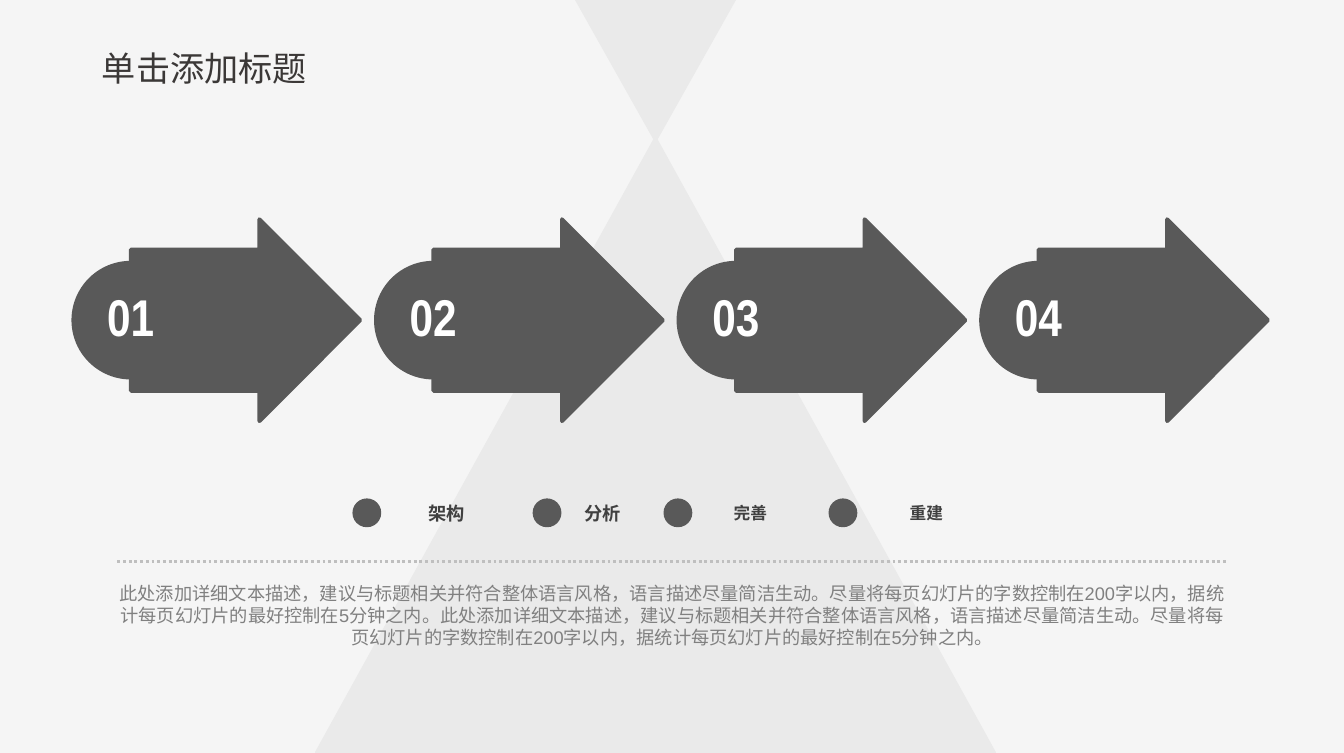
from dataclasses import dataclass

from lxml.etree import SubElement
from pptx import Presentation
from pptx.dml.color import RGBColor
from pptx.enum.dml import MSO_LINE
from pptx.enum.shapes import MSO_CONNECTOR, MSO_SHAPE as Preset
from pptx.enum.text import MSO_ANCHOR as Anchor, MSO_AUTO_SIZE as AutoSize, PP_ALIGN as Align
from pptx.oxml.ns import qn
from pptx.util import Pt


@dataclass(frozen=True)
class Theme:
    background: str = "F5F5F5"
    backdrop: str = "EAEAEA"
    accent: str = "595959"
    title: str = "3B3837"
    label: str = "404040"
    body: str = "808080"
    rule: str = "BFBFBF"
    number: str = "FFFFFF"
    font: str = "Arial"
    number_font: str = "Arial Narrow"
    title_size: float = 18
    number_size: float = 27.2
    body_size: float = 9.6
    small_label_size: float = 8.8
    outline: float = 2
    rule_width: float = 1.5


class SlideBuilder:
    def __init__(self, slide, theme):
        self.slide = slide
        self.theme = theme
        self.paint(slide.background.fill, theme.background)

    def paint(self, fill, color):
        fill.solid()
        fill.fore_color.rgb = RGBColor.from_string(color)

    def set_text(self, shape, text, size, color, bold=False, font=None, inset=(0, 0), wrap=True):
        frame = shape.text_frame
        frame.text = text
        frame.word_wrap = wrap
        frame.auto_size = AutoSize.NONE
        frame.margin_left = frame.margin_right = Pt(inset[0])
        frame.margin_top = frame.margin_bottom = Pt(inset[1])
        paragraph = frame.paragraphs[0]
        paragraph.alignment = Align.CENTER
        paragraph.font.name = font or self.theme.font
        paragraph.font.size = Pt(size)
        paragraph.font.bold = bold
        paragraph.font.color.rgb = RGBColor.from_string(color)
        return frame

    def title(self, text, box):
        title = self.slide.shapes.title
        title.left, title.top, title.width, title.height = map(Pt, box)
        frame = self.set_text(title, text, self.theme.title_size, self.theme.title, inset=(5, 3))
        frame.vertical_anchor = Anchor.MIDDLE

    def shape(self, preset, box, color, outlined=True):
        shape = self.slide.shapes.add_shape(preset, *map(Pt, box))
        shape.shadow.inherit = False
        self.paint(shape.fill, color)
        if outlined:
            self.paint(shape.line.fill, color)
            shape.line.width = Pt(self.theme.outline)
        else:
            shape.line.fill.background()
        return shape

    def text(self, text, box, size, color, bold=False, wrap=True):
        text_box = self.slide.shapes.add_textbox(*map(Pt, box))
        self.set_text(text_box, text, size, color, bold, wrap=wrap)

    def step(self, number, left, middle):
        theme = self.theme
        diameter, arrow_width, arrow_height = 60.5, 121, 106.4
        arrow_box = (left + diameter / 2, middle - arrow_height / 2, arrow_width, arrow_height)
        arrow = self.shape(Preset.RIGHT_ARROW, arrow_box, theme.accent)
        arrow.adjustments[0] = 0.7
        arrow.adjustments[1] = 0.5
        circle_box = (left, middle - diameter / 2, diameter, diameter)
        circle = self.shape(Preset.OVAL, circle_box, theme.accent)
        frame = self.set_text(circle, f"{number:02d}", theme.number_size, theme.number,
                              bold=True, font=theme.number_font, wrap=False)
        frame.vertical_anchor = Anchor.MIDDLE
        frame.paragraphs[0].line_spacing = 0.9

    def legend_entry(self, label, dot_left, label_center, size, middle):
        dot = 15.2
        dot_box = (dot_left, middle - dot / 2, dot, dot)
        self.shape(Preset.OVAL, dot_box, self.theme.accent, outlined=False)
        width, height = 2 * size, 1.2 * size
        label_box = (label_center - width / 2, middle - height / 2, width, height)
        self.text(label, label_box, size, self.theme.label, bold=True, wrap=False)

    def dotted_rule(self, left, right, y):
        rule = self.slide.shapes.add_connector(
            MSO_CONNECTOR.STRAIGHT, Pt(left), Pt(y), Pt(right), Pt(y))
        self.paint(rule.line.fill, self.theme.rule)
        rule.line.width = Pt(self.theme.rule_width)
        rule.line.dash_style = MSO_LINE.ROUND_DOT
        SubElement(rule._element.spPr, qn("a:effectLst"))


def main():
    theme = Theme()
    deck = Presentation()
    deck.slide_width, deck.slide_height = Pt(708.5), Pt(396.7)
    builder = SlideBuilder(deck.slides.add_slide(deck.slide_layouts[5]), theme)

    builder.shape(Preset.ISOSCELES_TRIANGLE, (167, 73.4, 357.1, 323.3), theme.backdrop)
    upper_triangle = builder.shape(
        Preset.ISOSCELES_TRIANGLE, (167, -244.1, 357.1, 317.5), theme.backdrop)
    upper_triangle.rotation = 180

    builder.title("单击添加标题", (31, 22.3, 153.4, 27.4))

    first_step_left, step_pitch = 38.7, 159.5
    for index in range(4):
        builder.step(index + 1, first_step_left + index * step_pitch, 168.7)

    legend = [
        ("架构", 185.8, 235.6, theme.body_size),
        ("分析", 280.8, 317.5, theme.body_size),
        ("完善", 349.8, 395.5, theme.small_label_size),
        ("重建", 436.8, 488.3, theme.small_label_size),
    ]
    for label, dot_left, label_center, size in legend:
        builder.legend_entry(label, dot_left, label_center, size, 270.2)

    builder.dotted_rule(61.9, 646.6, 296)
    description = (
        "此处添加详细文本描述，建议与标题相关并符合整体语言风格，语言描述尽量简洁生动。"
        "尽量将每页幻灯片的字数控制在200字以内，据统计每页幻灯片的最好控制在5分钟之内。"
    )
    builder.text(description * 2, (61.2, 306.7, 586.1, 34.6), theme.body_size, theme.body)

    deck.save("out.pptx")


if __name__ == "__main__":
    main()
